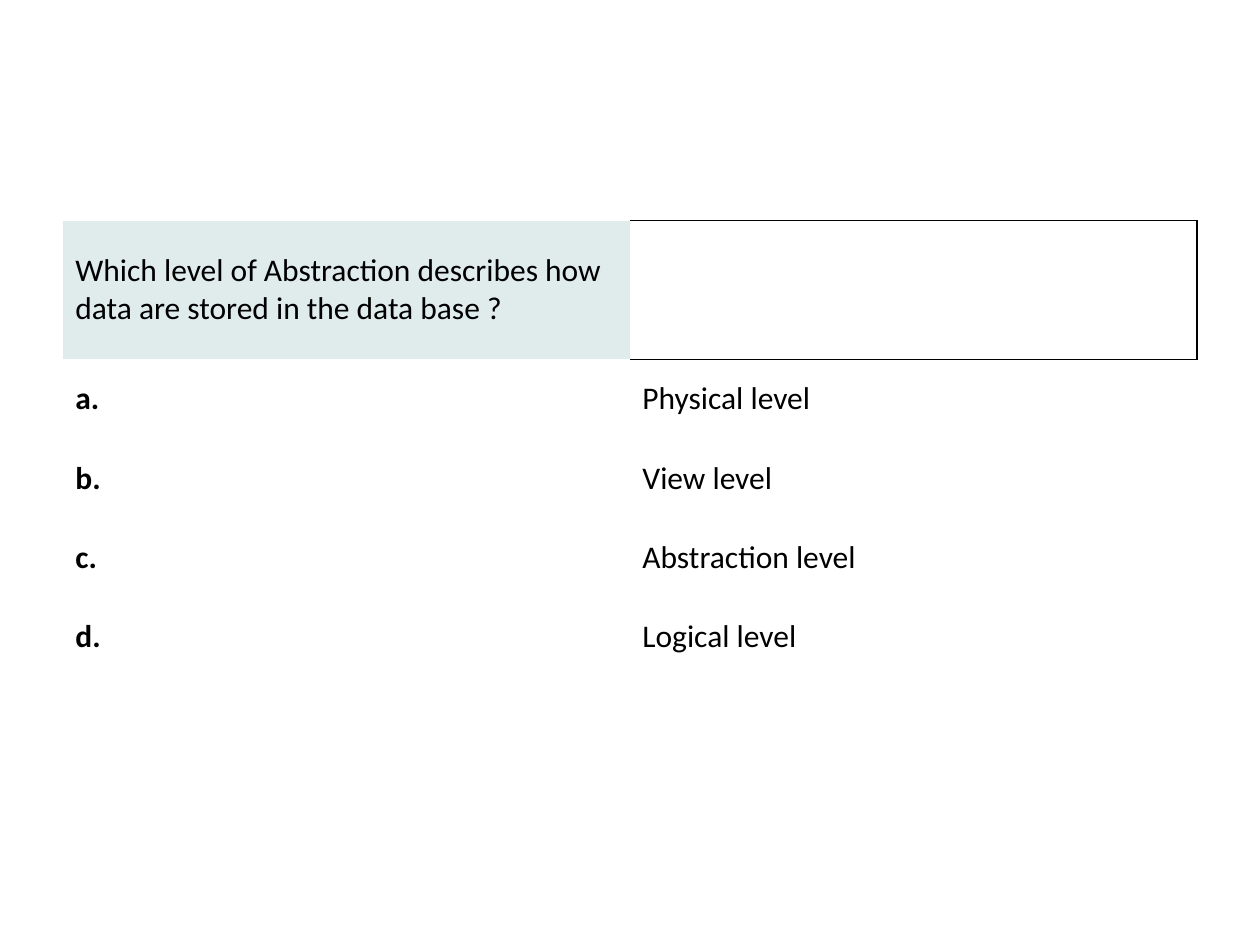
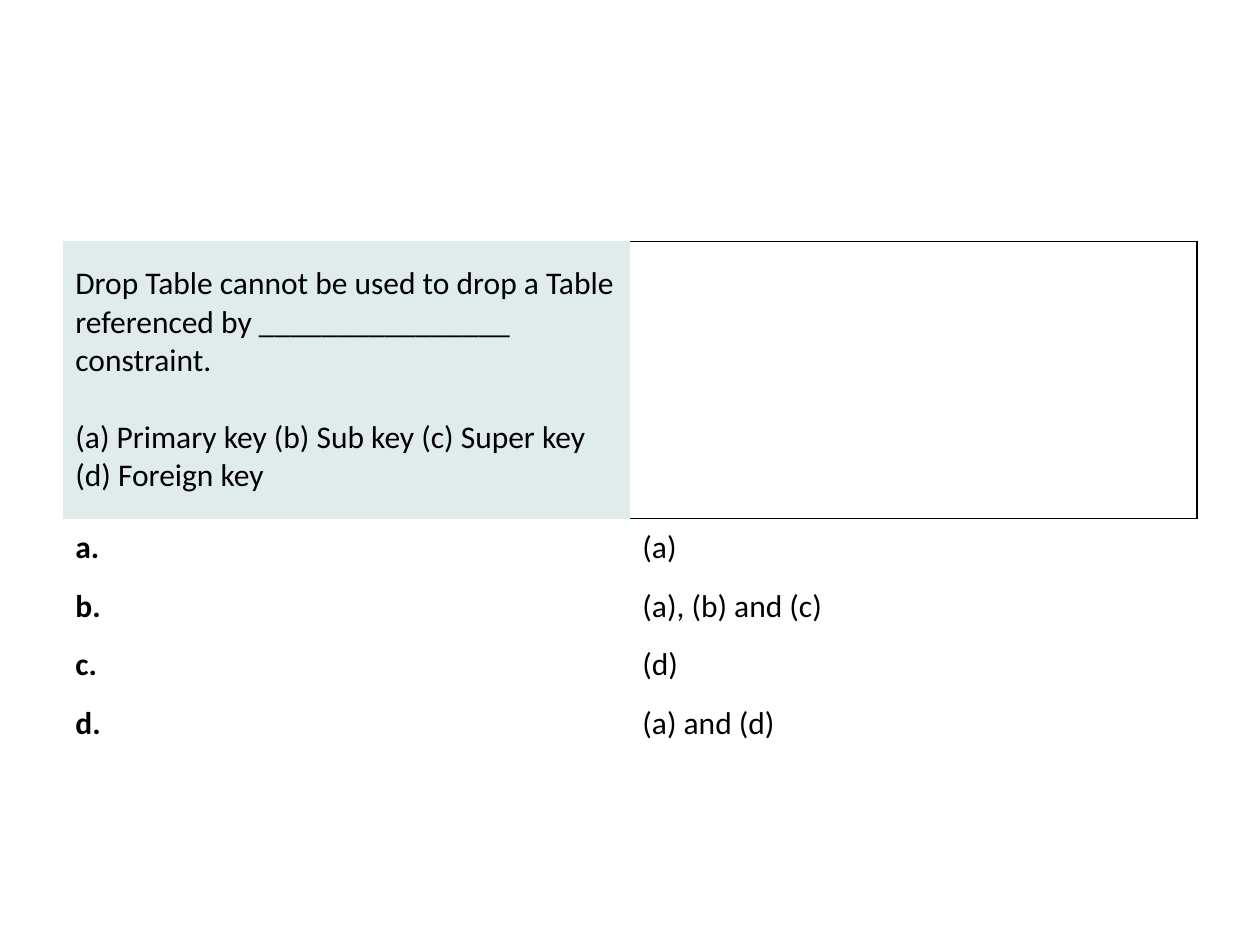
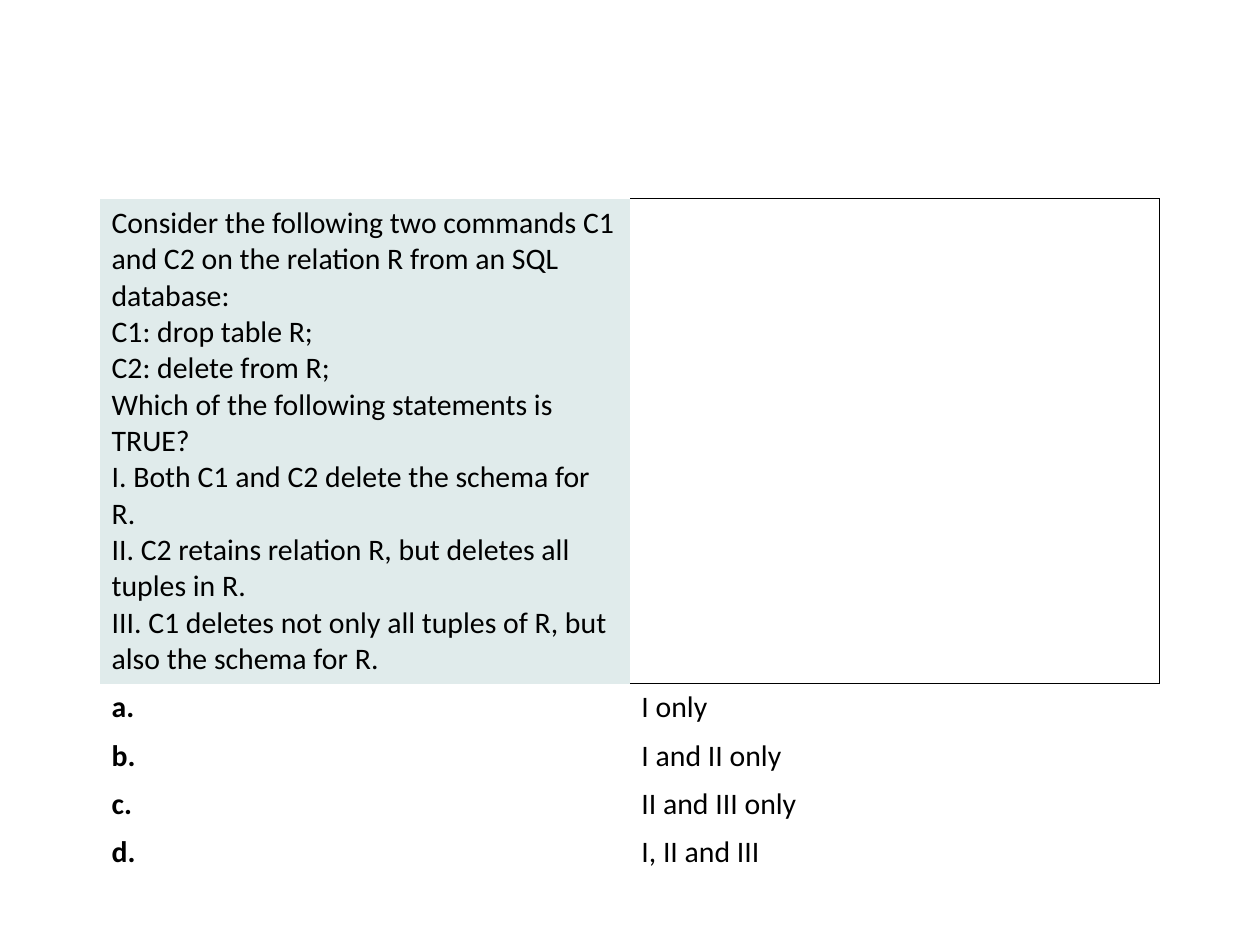
from dataclasses import dataclass

from lxml.etree import SubElement
from pptx import Presentation
from pptx.dml.color import RGBColor
from pptx.enum.text import MSO_ANCHOR
from pptx.oxml import parse_xml
from pptx.oxml.ns import nsdecls, qn
from pptx.util import Cm, Pt


@dataclass(frozen=True)
class Theme:
    font: str = "Calibri"
    text: str = "000000"
    question_fill: str = "E0EBEB"
    border: str = "000000"
    border_width: int = Pt(0.75)
    size: int = 18
    small_size: int = 17
    plain_table: str = "{2D5ABB26-0587-4C30-8999-92F81FD0307C}"


theme = Theme()

quiz = [
    dict(
        question=["Which level of Abstraction describes how data are stored in the data base ?"],
        answers=["Physical level", "View level", "Abstraction level", "Logical level"],
        top=4.45, col_width=11.43, question_height=2.79, answer_height=1.6,
        size=theme.size, margins=(0.25, 0.13), gap=0,
    ),
    dict(
        question=[
            "Drop Table cannot be used to drop a Table referenced by ________________ constraint.",
            "(a) Primary key (b) Sub key (c) Super key (d) Foreign key",
        ],
        answers=["(a)", "(a), (b) and (c)", "(d)", "(a) and (d)"],
        top=4.86, col_width=11.43, question_height=5.6, answer_height=1.18,
        size=theme.size, margins=(0.25, 0.13), gap=22,
    ),
    dict(
        question=[
            "Consider the following two commands C1 and C2 on the relation R from an SQL database:",
            "C1: drop table R;",
            "C2: delete from R;",
            "Which of the following statements is TRUE?",
            "I. Both C1 and C2 delete the schema for R.",
            "II. C2 retains relation R, but deletes all tuples in R.",
            "III. C1 deletes not only all tuples of R, but also the schema for R.",
        ],
        answers=["I only", "I and II only", "II and III only", "I, II and III"],
        top=4.01, col_width=10.68, question_height=9.77, answer_height=0.97,
        size=theme.small_size, margins=(0.23, 0.12), gap=0,
    ),
]


def write(cell, lines, *, size, margins, bold=False, gap=0):
    """Fill a cell with one paragraph per line, gap points apart."""
    cell.vertical_anchor = MSO_ANCHOR.MIDDLE
    cell.margin_left = cell.margin_right = Cm(margins[0])
    cell.margin_top = cell.margin_bottom = Cm(margins[1])
    tf = cell.text_frame
    for i, line in enumerate(lines):
        p = tf.add_paragraph() if i else tf.paragraphs[0]
        if i:
            p.space_before = Pt(gap)
        r = p.add_run()
        r.text = line
        r.font.name = theme.font
        r.font.size = Pt(size)
        r.font.bold = bold
        r.font.color.rgb = RGBColor.from_string(theme.text)


def add_borders(cell, sides):
    """Draw borders on the sides, given in the order L, R, T, B."""
    tc_pr = cell._tc.get_or_add_tcPr()
    for i, side in enumerate(sides):
        ln = parse_xml(f'<a:ln{side} {nsdecls("a")} w="{theme.border_width}"/>')
        fill = SubElement(ln, qn("a:solidFill"))
        SubElement(fill, qn("a:srgbClr"), val=theme.border)
        tc_pr.insert(i, ln)


prs = Presentation()
prs.slide_width, prs.slide_height = Cm(25.4), Cm(19.05)
blank = prs.slide_layouts[6]

for item in quiz:
    s = prs.slides.add_slide(blank)
    answers = item["answers"]
    width = Cm(2 * item["col_width"])
    height = Cm(item["question_height"] + len(answers) * item["answer_height"])
    left = (prs.slide_width - width) // 2
    table = s.shapes.add_table(len(answers) + 1, 2, left, Cm(item["top"]), width, height).table
    table.first_row = table.horz_banding = False
    table._tbl.tblPr.find(qn("a:tableStyleId")).text = theme.plain_table

    for col in table.columns:
        col.width = Cm(item["col_width"])
    for i, row in enumerate(table.rows):
        row.height = Cm(item["answer_height"] if i else item["question_height"])
    for cell in table.iter_cells():
        cell.fill.background()

    style = dict(size=item["size"], margins=item["margins"])
    question = table.cell(0, 0)
    question.fill.solid()
    question.fill.fore_color.rgb = RGBColor.from_string(theme.question_fill)
    write(question, item["question"], gap=item["gap"], **style)
    add_borders(table.cell(0, 1), "RTB")

    for i, (letter, answer) in enumerate(zip("abcd", answers), start=1):
        write(table.cell(i, 0), [f"{letter}."], bold=True, **style)
        write(table.cell(i, 1), [answer], **style)

prs.save("out.pptx")
